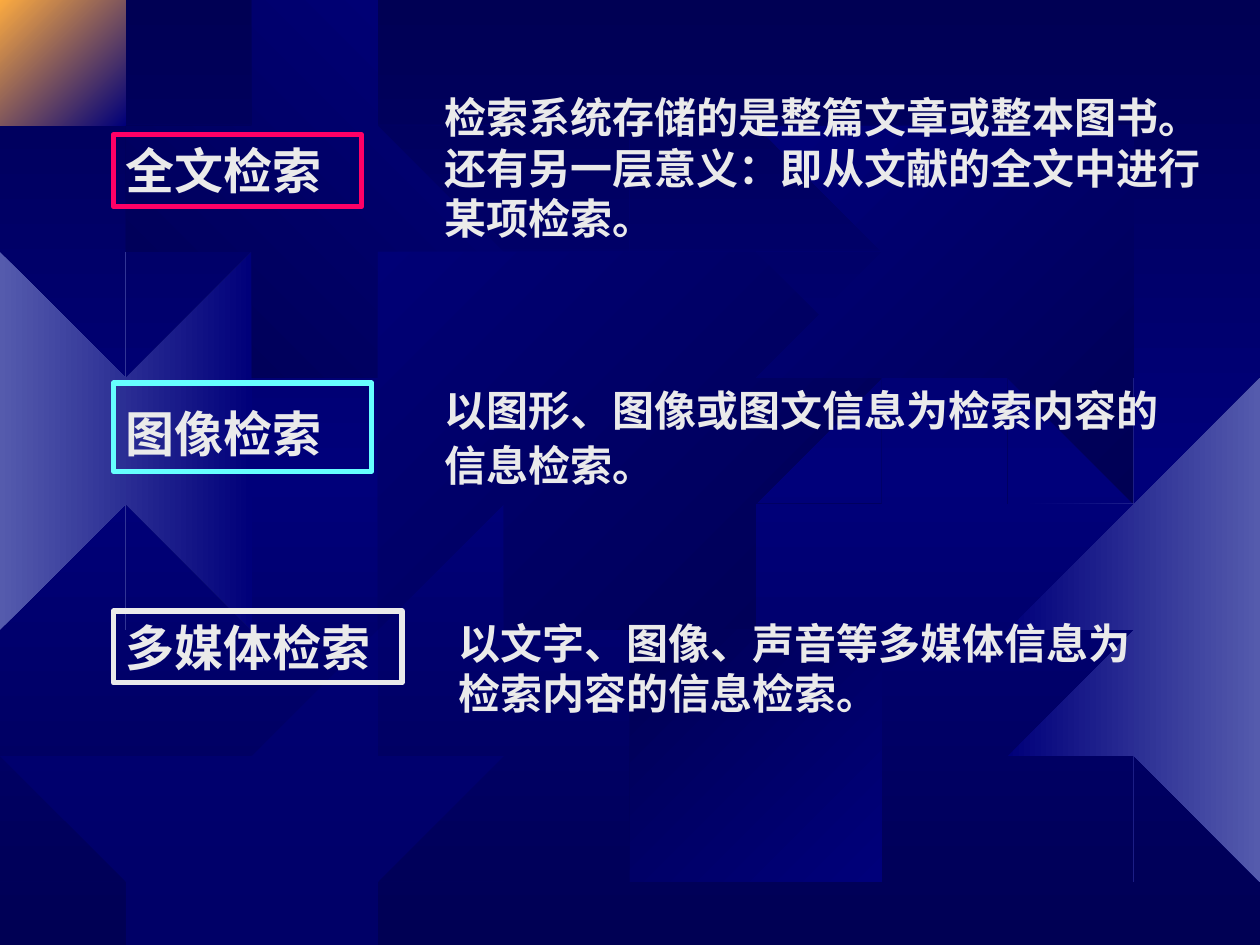
from copy import deepcopy

from lxml import etree
from pptx import Presentation
from pptx import util as u
from pptx.dml.color import RGBColor
from pptx.enum import shapes, text
from pptx.oxml.ns import qn

WIDTH, HEIGHT = 10, 7.5
NAVY = RGBColor(0x00, 0x00, 0x54)
BLUE = RGBColor(0x00, 0x00, 0x7A)
LILAC = RGBColor(0x55, 0x5B, 0xAD)
ORANGE = RGBColor(0xFC, 0xAB, 0x40)
PINK = RGBColor(0xFF, 0x00, 0x66)
CYAN = RGBColor(0x66, 0xFF, 0xFF)
PALE = RGBColor(0xEA, 0xEA, 0xEA)
CJK_FONT = "Noto Sans CJK SC"

# Rows: label, its font, frame colour, frame (top, width, height), trailing space
LABEL_LEFT = 0.9
LABELS = [
    ("全文检索", "Times New Roman", PINK, (1.07, 1.97, 0.57), False),
    ("图像检索", "Karla", CYAN, (3.04, 2.05, 0.7), True),
    ("多媒体检索", CJK_FONT, PALE, (4.85, 2.29, 0.57), False),
]
# Rows: definition, box (left, top, width, height), line spacing
DEFINITIONS = [
    ("检索系统存储的是整篇文章或整本图书。还有另一层意义：即从文献的全文中进行某项检索。",
     (3.43, 0.68, 6.22, 1.3), 1.0),
    ("以图形、图像或图文信息为检索内容的信息检索。", (3.43, 2.96, 6.02, 0.98), 1.1),
    ("以文字、图像、声音等多媒体信息为检索内容的信息检索。", (3.54, 4.85, 5.71, 0.9), 1.0),
]
# Gears from back to front: left, top, diameter, colours, clockwise angle
GEARS = [
    (-0.49, 2.01, 2.96, (LILAC, BLUE), 0),
    (0.12, -0.04, 0.92, (ORANGE, BLUE), 45),
    (1.3, 0.39, 2.48, (NAVY, BLUE), 315),
    (2.77, 1.39, 4.01, (BLUE, NAVY), 45),
    (0, 5.25, 3.74, (BLUE,), 0),
    (4.91, 4.84, 2.48, (NAVY, BLUE), 45),
    (6.18, 0.53, 3.2, (BLUE, NAVY), 45),
    (7.82, 2.8, 4.37, (BLUE, LILAC), 0),
]
# One gear outline, shared by all gears, on a grid of GEAR_GRID units
GEAR_GRID = 401
GEAR_OUTLINE = [
    (255, 67), (223, 59), (219, 0), (180, 3), (177, 59), (151, 68),
    (113, 20), (87, 35), (112, 88), (94, 106), (38, 85), (25, 107),
    (68, 145), (61, 174), (1, 178), (0, 210), (61, 219), (67, 246),
    (22, 287), (38, 312), (88, 288), (107, 307), (81, 355), (106, 375),
    (151, 332), (177, 340), (183, 400), (222, 401), (226, 339), (259, 330),
    (299, 374), (325, 358), (299, 306), (316, 284), (368, 309), (384, 281),
    (336, 246), (342, 216), (401, 210), (400, 180), (341, 171), (335, 148),
    (383, 114), (367, 87), (313, 109), (296, 91), (323, 41), (297, 25),
]
# Slide edges: axis, limit, side to keep
EDGES = [(0, 0, 1), (0, WIDTH, -1), (1, 0, 1), (1, HEIGHT, -1)]


def clip_to_slide(points):
    for axis, limit, side in EDGES:
        kept = []
        for start, end in zip(points[-1:] + points[:-1], points):
            before = (start[axis] - limit) * side
            after = (end[axis] - limit) * side
            if before * after < 0:
                share = before / (before - after)
                kept.append(tuple(a + (b - a) * share for a, b in zip(start, end)))
            if after >= 0:
                kept.append(end)
        points = kept
    return points


def color_gradient(fill, colors, angle):
    fill.gradient_angle = (360 - angle) % 360
    for index, (stop, color) in enumerate(zip(fill.gradient_stops, colors)):
        stop.position = index / (len(colors) - 1)
        stop.color.rgb = color


def add_gear(page, left, top, size, colors, angle):
    points = clip_to_slide([(left + x * size / GEAR_GRID, top + y * size / GEAR_GRID)
                            for x, y in GEAR_OUTLINE])
    builder = page.shapes.build_freeform(*points[0], scale=u.Inches(1))
    builder.add_line_segments(points[1:], close=True)
    gear = builder.convert_to_shape()
    gear.shadow.inherit = False
    gear.line.fill.background()
    if len(colors) > 1:
        gear.fill.gradient()
        color_gradient(gear.fill, colors, angle)
    else:
        gear.fill.solid()
        gear.fill.fore_color.rgb = colors[0]
        color = gear.element.spPr.find(".//" + qn("a:srgbClr"))
        etree.SubElement(color, qn("a:alpha"), val="50000")


def write(box, words, font="Karla", size=24, bold=True, spacing=1.0):
    frame = box.text_frame
    frame.word_wrap = True
    frame.vertical_anchor = text.MSO_ANCHOR.TOP
    para = frame.paragraphs[0]
    para.alignment = text.PP_ALIGN.LEFT
    para.line_spacing = spacing
    span = para.add_run()
    span.text = words
    span.font.name = font
    span.font.size = u.Pt(size)
    span.font.bold = bold
    span.font.color.rgb = PALE
    etree.SubElement(span.font._element, qn("a:ea"), typeface=CJK_FONT)


deck = Presentation()
deck.slide_width, deck.slide_height = u.Inches(WIDTH), u.Inches(HEIGHT)
page = deck.slides.add_slide(deck.slide_layouts[6])

# Background: dark, lighter in the middle
backdrop = page.background.fill
backdrop.gradient()
stops = page.element.find(".//" + qn("a:gsLst"))
stops.append(deepcopy(stops[0]))
color_gradient(backdrop, (NAVY, BLUE, NAVY), 90)

for gear in GEARS:
    add_gear(page, *gear)

# Framed labels
for words, font, color, (top, width, height), spaced in LABELS:
    box = page.shapes.add_shape(shapes.MSO_SHAPE.RECTANGLE,
                                *map(u.Inches, (LABEL_LEFT, top, width, height)))
    box.shadow.inherit = False
    box.fill.background()
    box.line.color.rgb = color
    box.line.width = u.Pt(3)
    write(box, words, font=font, size=28)
    if spaced:
        write(box, " ", font=font, size=36, bold=False)

# Definitions
for words, place, spacing in DEFINITIONS:
    box = page.shapes.add_textbox(*map(u.Inches, place))
    write(box, words, spacing=spacing)

deck.save("out.pptx")
